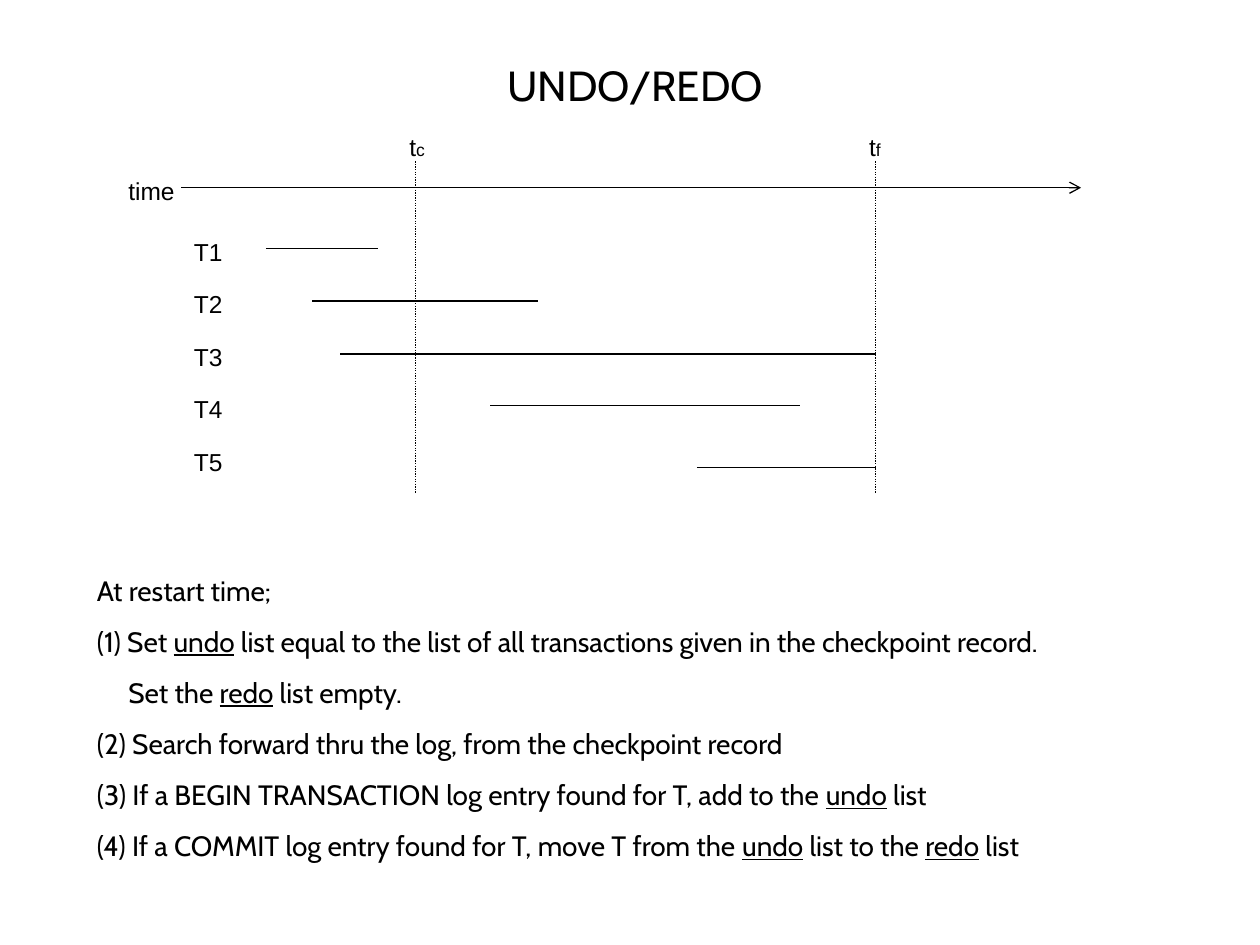
from lxml.etree import SubElement
from pptx import Presentation
from pptx.dml.color import RGBColor
from pptx.enum.dml import MSO_LINE
from pptx.enum.shapes import MSO_CONNECTOR
from pptx.enum.text import MSO_ANCHOR, MSO_AUTO_SIZE, PP_ALIGN
from pptx.oxml.ns import qn
from pptx.util import Inches, Pt

BLACK = RGBColor(0x00, 0x00, 0x00)
WHITE = RGBColor(0xFF, 0xFF, 0xFF)

TITLE = {"name": "Cabin", "size": Pt(24)}
BODY = {"name": "Cabin", "size": Pt(16)}
LABEL = {"name": "Arial", "size": Pt(14)}
SUBSCRIPT = {"name": "Arial", "size": Pt(10)}
UNDERLINED = {**BODY, "underline": True}
FRAME = {
    "word_wrap": True,
    "auto_size": MSO_AUTO_SIZE.NONE,
    "vertical_anchor": MSO_ANCHOR.TOP,
    "margin_left": Inches(0.1),
    "margin_right": Inches(0.1),
    "margin_top": Inches(0.05),
    "margin_bottom": Inches(0.05),
}

ROW_STEP = 5 / 12
LABEL_TOP = 1.83
CHECKPOINT = 3.3
FAILURE = 6.95
TRANSACTIONS = [
    ("T1", 2.11, 3, 1.97),
    ("T2", 2.48, 4.27, 2.39),
    ("T3", 2.7, FAILURE, 2.81),
    ("T4", 3.89, 6.35, 3.22),
    ("T5", 5.53, FAILURE, 3.71),
]
STEPS = [
    ("At restart time;", 0),
    ("(1) Set _undo_ list equal to the list of all transactions given in the checkpoint record.", 0),
    ("Set the _redo_ list empty.", 0.25),
    ("(2) Search forward thru the log, from the checkpoint record", 0),
    ("(3) If a BEGIN TRANSACTION log entry found for T, add to the _undo_ list", 0),
    ("(4) If a COMMIT log entry found for T, move T from the _undo_ list to the _redo_ list", 0),
]


def apply_format(target, values):
    for name, value in values.items():
        setattr(target, name, value)


class SlideBuilder:
    def __init__(self, deck):
        self.page = deck.slides.add_slide(deck.slide_layouts[5])
        fill = self.page.background.fill
        fill.solid()
        fill.fore_color.rgb = WHITE

    def add_spans(self, para, spans):
        for text, style in spans:
            span = para.add_run()
            span.text = text
            apply_format(span.font, style)
            span.font.color.rgb = BLACK

    def title(self, text, left, top, width, height):
        box = self.page.shapes.title
        apply_format(box, {
            "left": Inches(left),
            "top": Inches(top),
            "width": Inches(width),
            "height": Inches(height),
        })
        apply_format(box.text_frame, FRAME)
        para = box.text_frame.paragraphs[0]
        para.alignment = PP_ALIGN.CENTER
        self.add_spans(para, [(text, TITLE)])

    def text_box(self, left, top, width, height):
        box = self.page.shapes.add_textbox(
            Inches(left), Inches(top), Inches(width), Inches(height))
        apply_format(box.text_frame, FRAME)
        return box.text_frame

    def label(self, spans, left, top, width=0.67):
        frame = self.text_box(left, top, width, 0.34)
        self.add_spans(frame.paragraphs[0], spans)

    def steps(self, items, left, top, width, height):
        frame = self.text_box(left, top, width, height)
        for index, (text, indent) in enumerate(items):
            para = frame.add_paragraph() if index else frame.paragraphs[0]
            if index:
                para.space_before = Pt(10)
            if indent:
                para._p.get_or_add_pPr().set("marL", str(Inches(indent)))
            self.add_spans(para, [
                (part, UNDERLINED if position % 2 else BODY)
                for position, part in enumerate(text.split("_"))
            ])

    def line(self, start, end, dash=None, arrow=False):
        connector = self.page.shapes.add_connector(
            MSO_CONNECTOR.STRAIGHT, *(Inches(value) for value in start + end))
        connector.line.color.rgb = BLACK
        connector.line.width = Pt(0.75)
        if dash:
            connector.line.dash_style = dash
        if arrow:
            SubElement(connector.line._get_or_add_ln(), qn("a:tailEnd"), type="arrow")
        SubElement(connector._element.spPr, qn("a:effectLst"))


def main():
    deck = Presentation()
    deck.slide_width, deck.slide_height = Inches(10), Inches(7.5)
    builder = SlideBuilder(deck)

    builder.title("UNDO/REDO", 2.58, 0.42, 4.92, 0.5)
    builder.label([("time", LABEL)], 0.92, 1.35)
    builder.line((1.44, 1.49), (8.58, 1.49), arrow=True)

    for letter, moment, width in (("c", CHECKPOINT, 0.67), ("f", FAILURE, 0.3)):
        builder.label([("t", LABEL), (letter, SUBSCRIPT)], moment - 0.15, 1, width)
        builder.line((moment, 1.28), (moment, 3.92), dash=MSO_LINE.ROUND_DOT)

    for row, (name, begin, end, height) in enumerate(TRANSACTIONS):
        builder.label([(name, LABEL)], 1.44, LABEL_TOP + row * ROW_STEP)
        builder.line((begin, height), (end, height))

    builder.steps(STEPS, 0.67, 4.5, 8.33, 3.34)
    deck.save("out.pptx")


if __name__ == "__main__":
    main()
